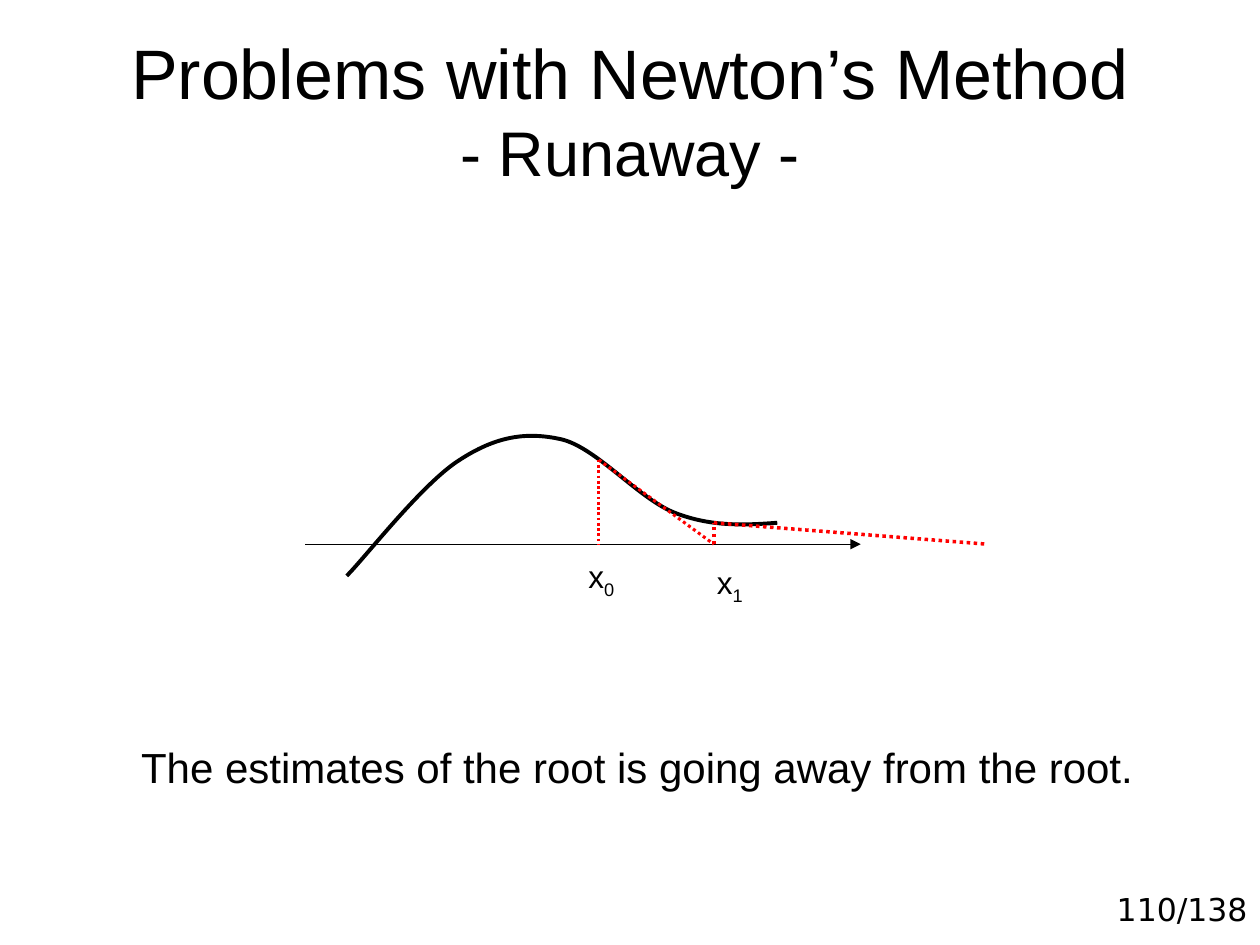
import dataclasses

import lxml.etree
import pptx
import pptx.dml.color
import pptx.enum.dml
import pptx.enum.shapes
import pptx.enum.text
import pptx.oxml.ns
import pptx.util

CENTER = pptx.enum.text.PP_ALIGN.CENTER
LEFT = pptx.enum.text.PP_ALIGN.LEFT
RIGHT = pptx.enum.text.PP_ALIGN.RIGHT


@dataclasses.dataclass(frozen=True)
class Theme:
    ink: str = "000000"
    tangent: str = "FF0000"
    font: str = "Arial"
    number_font: str = "DejaVu Sans"
    title_size: int = 40
    subtitle_size: int = 36
    caption_size: int = 24
    label_size: int = 18


def add_child(parent, tag, **attributes):
    return lxml.etree.SubElement(parent, pptx.oxml.ns.qn(tag), **attributes)


class SlideBuilder:
    """Holds the theme and the current slide; all lengths are in centimetres."""

    def __init__(self, slide, theme):
        self.slide = slide
        self.theme = theme

    def format_font(self, font, size, name=None):
        font.size = pptx.util.Pt(size)
        font.name = name or self.theme.font
        font.color.rgb = pptx.dml.color.RGBColor.from_string(self.theme.ink)

    def format_line(self, line, color, width):
        line.color.rgb = pptx.dml.color.RGBColor.from_string(color)
        line.width = pptx.util.Pt(width)

    def title(self, heading, subheading, left, top, width, height):
        shape = self.slide.shapes.title
        shape.left, shape.top, shape.width, shape.height = map(
            pptx.util.Cm, (left, top, width, height))
        frame = shape.text_frame
        frame.text = f"{heading}\v{subheading}"
        frame.auto_size = pptx.enum.text.MSO_AUTO_SIZE.NONE
        frame.vertical_anchor = pptx.enum.text.MSO_ANCHOR.BOTTOM
        paragraph = frame.paragraphs[0]
        paragraph.alignment = CENTER
        self.format_font(paragraph.font, self.theme.title_size)
        sizes = (self.theme.title_size, self.theme.subtitle_size)
        for run, size in zip(paragraph.runs, sizes):
            self.format_font(run.font, size)

    def text(self, content, left, top, width, height, size, alignment=LEFT,
             font_name=None, subscript=None):
        shape = self.slide.shapes.add_textbox(
            *map(pptx.util.Cm, (left, top, width, height)))
        frame = shape.text_frame
        frame.word_wrap = subscript is None
        frame.auto_size = pptx.enum.text.MSO_AUTO_SIZE.SHAPE_TO_FIT_TEXT
        frame.text = content
        paragraph = frame.paragraphs[0]
        paragraph.alignment = alignment
        if subscript:
            paragraph.add_run().text = subscript
        for run in paragraph.runs:
            self.format_font(run.font, size, font_name)
        if subscript:
            paragraph.runs[-1].font._element.set("baseline", "-25000")

    def line(self, start, end, color, width, dotted=False, arrow=False):
        connector = self.slide.shapes.add_connector(
            pptx.enum.shapes.MSO_CONNECTOR.STRAIGHT,
            *map(pptx.util.Cm, (*start, *end)))
        self.format_line(connector.line, color, width)
        if dotted:
            connector.line.dash_style = pptx.enum.dml.MSO_LINE.ROUND_DOT
        if arrow:
            add_child(connector.line._get_or_add_ln(), "a:tailEnd", type="triangle")
        add_child(connector._element.spPr, "a:effectLst")

    def curve(self, points, color, width):
        """Draw cubic segments: a start point, then two controls and an end each."""
        start, *others = [tuple(map(pptx.util.Cm, point)) for point in points]
        builder = self.slide.shapes.build_freeform(*start)
        builder.add_line_segments(others, close=False)
        shape = builder.convert_to_shape()
        shape.shadow.inherit = False
        shape.fill.background()
        self.format_line(shape.line, color, width)
        outline = next(shape._element.iter(pptx.oxml.ns.qn("a:path")))
        segments = outline.findall(pptx.oxml.ns.qn("a:lnTo"))
        for first in range(0, len(segments), 3):
            cubic = add_child(outline, "a:cubicBezTo")
            for segment in segments[first:first + 3]:
                cubic.append(segment[0])
                outline.remove(segment)


def main():
    presentation = pptx.Presentation()
    presentation.slide_width = pptx.util.Cm(25.4)
    presentation.slide_height = pptx.util.Cm(19.05)
    theme = Theme()
    slide = presentation.slides.add_slide(presentation.slide_layouts[5])
    builder = SlideBuilder(slide, theme)

    builder.text("110/138", 21.39, 17.82, 4.01, 1.2, theme.label_size,
                 RIGHT, theme.number_font)
    builder.title("Problems with Newton’s Method", "- Runaway -",
                  1.27, 0.76, 22.86, 3.18)
    builder.text("The estimates of the root is going away from the root.",
                 2.15, 14.83, 21.39, 1.27, theme.caption_size, CENTER)

    builder.curve([
        (15.67, 10.54),
        (14.99, 10.59), (14.33, 10.62), (13.61, 10.34),
        (12.88, 10.06), (12.04, 9.04), (11.33, 8.86),
        (10.59, 8.69), (9.98, 8.81), (9.27, 9.27),
        (8.53, 9.73), (7.37, 11.23), (6.99, 11.61),
    ], theme.ink, 2.25)

    axis_y = 10.97
    builder.line((6.15, axis_y), (17.35, axis_y), theme.ink, 0.75, arrow=True)

    first_x, second_x, third_x = 12.07, 14.39, 19.9
    first_point, second_point = (first_x, 9.27), (second_x, 10.54)
    steps = [
        (first_point, (first_x, axis_y), 1.5),
        (first_point, (second_x, axis_y), 1.75),
        ((second_x, axis_y), second_point, 2),
        (second_point, (third_x, axis_y), 2),
    ]
    for start, end, width in steps:
        builder.line(start, end, theme.tangent, width, dotted=True)

    for subscript, left, top in (("0", 11.61, 11.1), ("1", 14.2, 11.23)):
        builder.text("x", left, top, 1.1, 1.12, theme.label_size,
                     subscript=subscript)

    presentation.save("out.pptx")


if __name__ == "__main__":
    main()
